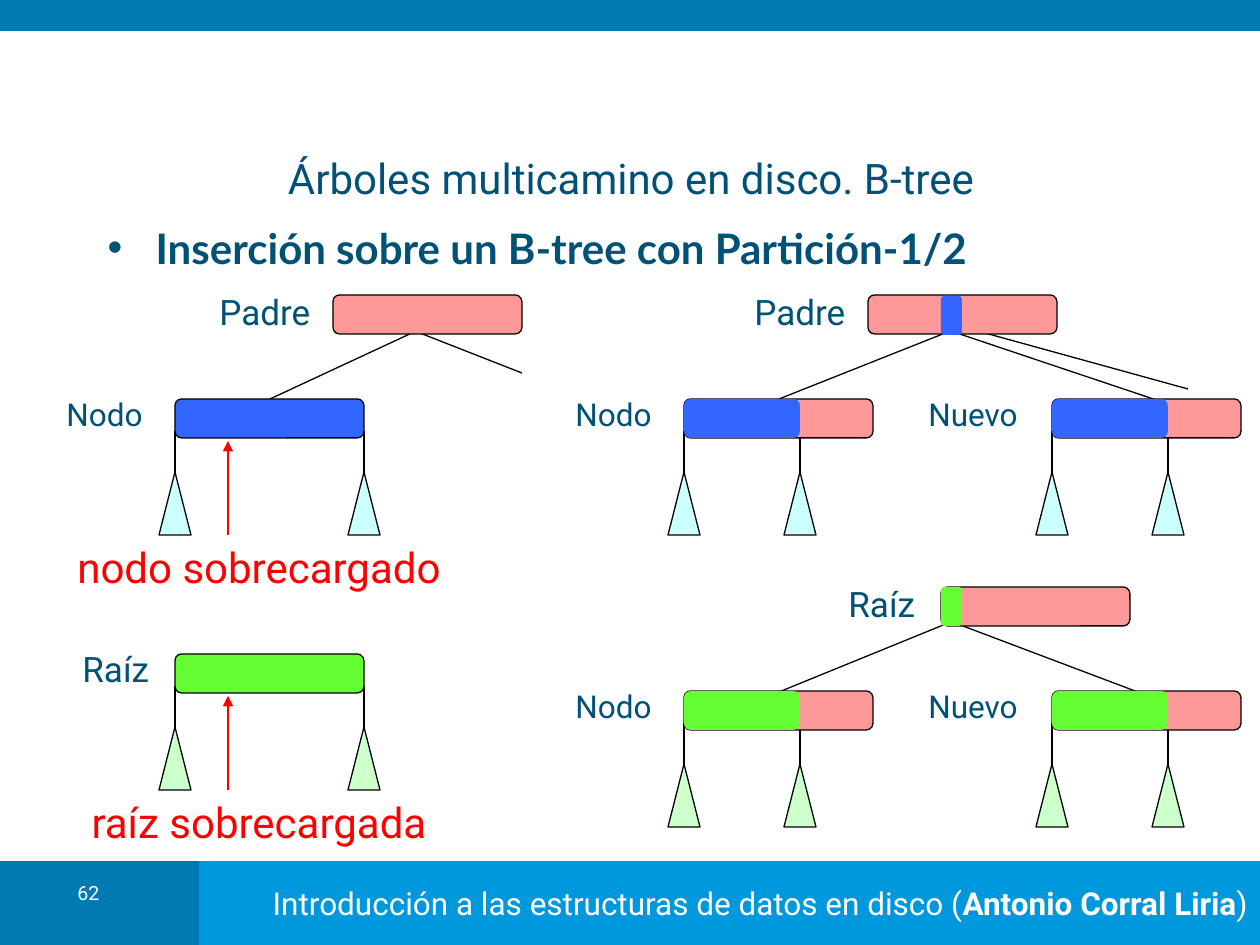
from lxml.etree import SubElement
from pptx import Presentation
from pptx.dml.color import RGBColor
from pptx.enum.shapes import MSO_CONNECTOR, MSO_SHAPE
from pptx.enum.text import MSO_ANCHOR as Anchor, MSO_AUTO_SIZE, PP_ALIGN as Align
from pptx.oxml.ns import qn
from pptx.util import Pt

EMU_PER_PX = 914400 / 126
COLORS = {
    "band": "007AB1", "footer": "0098DC", "text": "005176", "white": "FFFFFF",
    "black": "000000", "red": "FF0000", "pink": "FF9999", "blue": "3366FF",
    "green": "66FF33", "cyan": "CCFFFF", "mint": "CCFFCC",
}
NODE_WIDTH, NODE_HEIGHT = 189, 39
FILLED_WIDTH, KEY_WIDTH = 116, 21
TREE_WIDTH, TREE_HEIGHT = 32, 63
LEFT_X, SPLIT_X, NEW_X = 175, 684, 1052


def px(value):
    return round(value * EMU_PER_PX)


def color(name):
    return RGBColor.from_string(COLORS[name])


class TreeSlide:
    font = "Roboto"

    def __init__(self, presentation):
        self.slide = presentation.slides.add_slide(presentation.slide_layouts[1])
        self.shapes = self.slide.shapes

    def add_text(self, shape, runs, size, ink="text", align=Align.LEFT,
                 anchor=Anchor.TOP, font=None):
        """Fill a shape with one paragraph of (text, bold) runs."""
        frame = shape.text_frame
        frame.word_wrap = True
        frame.auto_size = MSO_AUTO_SIZE.NONE
        frame.vertical_anchor = anchor
        paragraph = frame.paragraphs[0]
        paragraph.alignment = align
        paragraph.space_before = Pt(0)
        for text, bold in runs:
            run = paragraph.add_run()
            run.text = text
            run.font.name = font or self.font
            run.font.size = Pt(size)
            run.font.bold = bold
            run.font.color.rgb = color(ink)
        return paragraph

    def place(self, shape, x, y, width, height):
        shape.left, shape.top = px(x), px(y)
        shape.width, shape.height = px(width), px(height)

    def title(self, text, *box):
        shape = self.shapes.title
        self.place(shape, *box)
        self.add_text(shape, [(text, False)], 24, align=Align.CENTER, anchor=Anchor.MIDDLE)

    def bullet(self, text, *box):
        shape = self.slide.placeholders[1]
        self.place(shape, *box)
        paragraph = self.add_text(shape, [(text, True)], 24, font="Lato")
        properties = paragraph._p.get_or_add_pPr()
        properties.set("marL", str(px(48)))
        properties.set("indent", str(px(-48)))
        bullet_color = SubElement(properties, qn("a:buClr"))
        SubElement(bullet_color, qn("a:srgbClr"), val=COLORS["text"])
        SubElement(properties, qn("a:buFont"), typeface="Arial")
        SubElement(properties, qn("a:buChar"), char="•")

    def label(self, text, x, y, width, height, size=20, **style):
        box = self.shapes.add_textbox(px(x), px(y), px(width), px(height))
        return self.add_text(box, [(text, False)], size, **style)

    def shape(self, kind, x, y, width, height, fill, outlined=False):
        shape = self.shapes.add_shape(kind, px(x), px(y), px(width), px(height))
        shape.shadow.inherit = False
        shape.fill.solid()
        shape.fill.fore_color.rgb = color(fill)
        if outlined:
            shape.line.color.rgb = color("black")
            shape.line.width = Pt(0.75)
        else:
            shape.line.fill.background()
        return shape

    def bar(self, x, y, width, height, fill):
        return self.shape(MSO_SHAPE.RECTANGLE, x, y, width, height, fill)

    def node(self, x, y, fill, width=NODE_WIDTH, outlined=True):
        self.shape(MSO_SHAPE.ROUNDED_RECTANGLE, x, y, width, NODE_HEIGHT, fill, outlined)

    def line(self, x1, y1, x2, y2, ink="black", arrow=False):
        connector = self.shapes.add_connector(
            MSO_CONNECTOR.STRAIGHT, px(x1), px(y1), px(x2), px(y2))
        connector.line.color.rgb = color(ink)
        connector.line.width = Pt(0.75)
        properties = connector._element.spPr
        if arrow:
            SubElement(properties.find(qn("a:ln")), qn("a:tailEnd"), type="triangle")
        SubElement(properties, qn("a:effectLst"))

    def subtree(self, x, node_y, fill):
        """Stem and triangle hanging at x from the node whose top is node_y."""
        self.line(x, node_y + 32, x, node_y + 84)
        self.shape(MSO_SHAPE.ISOSCELES_TRIANGLE, x - TREE_WIDTH / 2, node_y + 73,
                   TREE_WIDTH, TREE_HEIGHT, fill, True)

    def overloaded(self, y, fill, tree_fill, caption, caption_y, caption_height):
        """Full node with two subtrees and a red arrow with its caption."""
        for x in (LEFT_X, LEFT_X + NODE_WIDTH):
            self.subtree(x, y, tree_fill)
        self.node(LEFT_X, y, fill)
        self.line(228, y + 136, 228, y + 42, "red", arrow=True)
        self.label(caption, 59, caption_y, 400, caption_height, 24, ink="red",
                   align=Align.CENTER, anchor=Anchor.MIDDLE)

    def split(self, y, fill, tree_fill):
        """Two partly filled nodes, each with two subtrees."""
        for x, text, label_x, label_width in (
                (SPLIT_X, "Nodo", 563, 121), (NEW_X, "Nuevo", 916, 147)):
            for stem_x in (x, x + FILLED_WIDTH):
                self.subtree(stem_x, y, tree_fill)
            self.node(x, y, "pink")
            self.node(x, y, fill, FILLED_WIDTH, outlined=False)
            self.label(text, label_x, y - 10, label_width, 50, 18)


def main():
    presentation = Presentation()
    presentation.slide_width, presentation.slide_height = px(1260), px(945)
    tree = TreeSlide(presentation)

    tree.bar(0, 861, 231, 84, "band")
    footer = tree.bar(199, 861, 1061, 84, "footer")
    tree.add_text(footer, [("Introducción a las estructuras de datos en disco (", False),
                           ("Antonio Corral Liria", True), (")", False)],
                  18, "white", Align.RIGHT, Anchor.MIDDLE)
    tree.bar(0, 0, 1260, 31, "band")
    number = tree.label("62", 44, 879, 89, 40, 11.2, ink="white", align=Align.CENTER)
    number.line_spacing = 0.8
    tree.title("Árboles multicamino en disco. B-tree", 105, 151, 1052, 53)
    tree.bullet("Inserción sobre un B-tree con Partición-1/2", 95, 216, 1140, 643)

    # Node before and after the split
    for link in ((427, 326, 270, 399), (374, 315, 522, 373), (963, 326, 779, 399),
                 (916, 314, 1188, 389), (900, 314, 1210, 418)):
        tree.line(*link)
    for x in (333, 868):
        tree.node(x, 295, "pink")
        tree.label("Padre", x - 126, 284, 126, 55)
    tree.node(941, 296, "blue", KEY_WIDTH, outlined=False)
    tree.label("Nodo", 54, 389, 126, 50, 18)
    tree.overloaded(399, "blue", "cyan", "nodo sobrecargado", 510, 113)
    tree.split(399, "blue", "cyan")

    # Root before and after the split
    tree.label("Raíz", 70, 641, 105, 55)
    tree.overloaded(654, "green", "mint", "raíz sobrecargada", 790, 63)
    for link in ((963, 617, 779, 692), (963, 626, 1188, 711)):
        tree.line(*link)
    tree.node(941, 587, "pink")
    tree.node(941, 587, "green", KEY_WIDTH, outlined=False)
    tree.label("Raíz", 836, 576, 105, 55)
    tree.split(691, "green", "mint")

    presentation.save("out.pptx")


if __name__ == "__main__":
    main()
